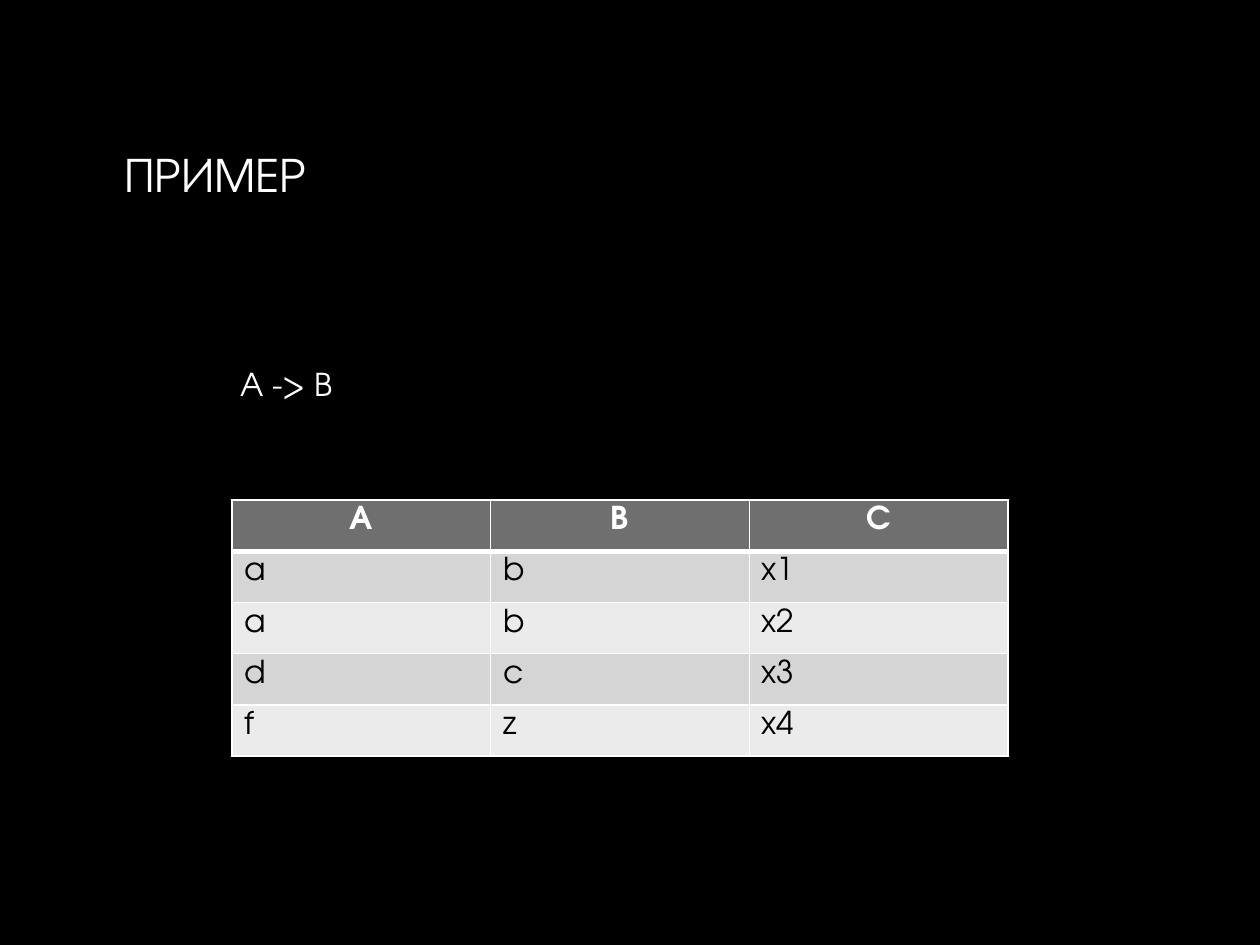
from lxml.etree import SubElement
from pptx import Presentation
from pptx.dml.color import RGBColor
from pptx.enum.text import MSO_ANCHOR, PP_ALIGN
from pptx.oxml.ns import qn
from pptx.util import Inches, Pt

FONT = "TeX Gyre Adventor"
WHITE, BLACK = "FFFFFF", "000000"
HEADER_FILL, BAND_FILLS = "6F6F6F", ("EBEBEB", "D5D5D5")
ROWS = (
    ("A", "B", "C"),
    ("a", "b", "x1"),
    ("a", "b", "x2"),
    ("d", "c", "x3"),
    ("f", "z", "x4"),
)


def color(value):
    """Turn a hex string into a colour."""
    return RGBColor.from_string(value)


def box(left, top, width, height):
    """Convert a box in inches to slide lengths."""
    return tuple(Inches(length) for length in (left, top, width, height))


def add_text(paragraph, text, size, text_color, bold=False):
    """Add one styled run to a paragraph."""
    run = paragraph.add_run()
    run.text = text
    run.font.name = FONT
    run.font.size = Pt(size)
    run.font.bold = bold
    run.font.color.rgb = color(text_color)


def add_label(slide, area, text, size, anchor):
    """Place a white line of text in the given box."""
    frame = slide.shapes.add_textbox(*area).text_frame
    frame.word_wrap = True
    frame.vertical_anchor = anchor
    add_text(frame.paragraphs[0], text, size, WHITE)


def set_borders(cell, widths):
    """Draw white cell borders with a width in points for each side."""
    properties = cell._tc.get_or_add_tcPr()
    for side, width in widths.items():
        line = SubElement(properties, qn(f"a:ln{side}"), w=str(Pt(width)))
        fill = SubElement(line, qn("a:solidFill"))
        SubElement(fill, qn("a:srgbClr"), val=WHITE)


def add_relation_table(slide, area):
    """Place the banded table of example rows in the given box."""
    left, top, width, height = area
    table = slide.shapes.add_table(len(ROWS), len(ROWS[0]), *area).table
    for column in table.columns:
        column.width = width // len(ROWS[0])
    for row in table.rows:
        row.height = height // len(ROWS)
    for row_index, values in enumerate(ROWS):
        header = row_index == 0
        widths = {"L": 1, "R": 1, "T": 3 if row_index == 1 else 1, "B": 3 if header else 1}
        for column_index, value in enumerate(values):
            cell = table.cell(row_index, column_index)
            set_borders(cell, widths)
            cell.fill.solid()
            cell.fill.fore_color.rgb = color(HEADER_FILL if header else BAND_FILLS[row_index % 2])
            paragraph = cell.text_frame.paragraphs[0]
            paragraph.alignment = PP_ALIGN.CENTER if header else PP_ALIGN.LEFT
            add_text(paragraph, value, 18, WHITE if header else BLACK, header)


def main():
    """Build and save the example slide."""
    presentation = Presentation()
    presentation.slide_width, presentation.slide_height = Inches(10), Inches(7.5)
    slide = presentation.slides.add_slide(presentation.slide_layouts[6])
    slide.background.fill.solid()
    slide.background.fill.fore_color.rgb = color(BLACK)
    add_label(slide, box(0.89, 0.65, 8.21, 1.44), "ПРИМЕР", 28, MSO_ANCHOR.MIDDLE)
    add_relation_table(slide, box(1.84, 3.97, 6.16, 2.03))
    add_label(slide, box(1.81, 2.85, 6.39, 0.71), "A -> B", 18, MSO_ANCHOR.TOP)
    presentation.save("out.pptx")


if __name__ == "__main__":
    main()
